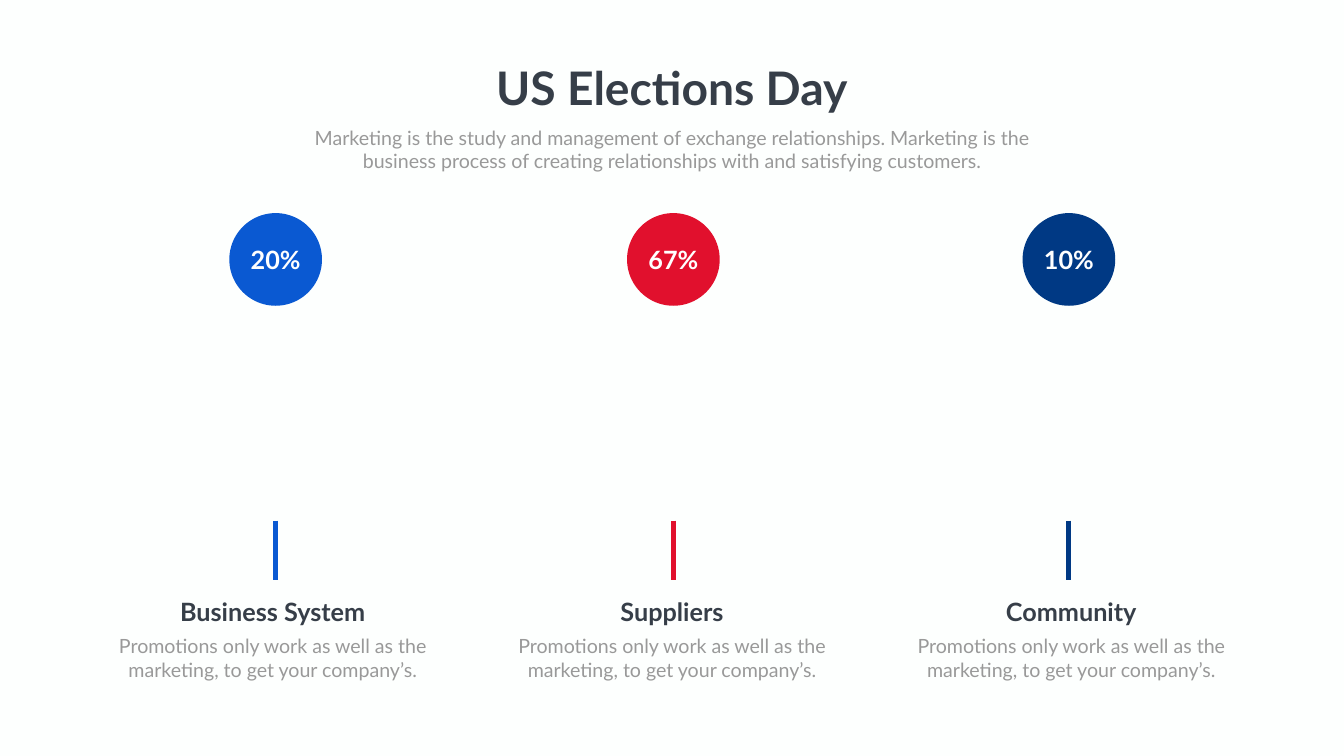
from lxml import etree
from pptx import Presentation
from pptx.dml.color import RGBColor
from pptx.enum.shapes import MSO_CONNECTOR, MSO_SHAPE
from pptx.enum.text import MSO_ANCHOR, MSO_AUTO_SIZE, PP_ALIGN
from pptx.oxml.ns import qn
from pptx.util import Cm, Pt

STRAIGHT = MSO_CONNECTOR.STRAIGHT
OVAL = MSO_SHAPE.OVAL
TOP, MIDDLE = MSO_ANCHOR.TOP, MSO_ANCHOR.MIDDLE
CENTER = PP_ALIGN.CENTER
NO_AUTOFIT = MSO_AUTO_SIZE.NONE

DARK, GRAY, WHITE, BACKGROUND = "363E48", "999999", "FFFFFF", "FDFFFE"

TITLE = {"size": Pt(66), "bold": True, "name": "Lato"}
HEADING = {"size": Pt(36), "bold": True, "name": "Lato"}
BODY = {"size": Pt(28), "bold": False, "name": "Lato"}

# Share, heading, colour and marker centre (cm) of each column
COLUMNS = [
    ("20%", "Business System", "0A59D2", 13.89),
    ("67%", "Suppliers", "E1102D", 33.93),
    ("10%", "Community", "003984", 53.86),
]
DETAIL = "Promotions only work as well as the marketing, to get your company’s."
FIRST_CENTER, COLUMN_PITCH = 13.74, 20.12
CIRCLE_SIZE = 4.67


def color(hex_string):
    return RGBColor.from_string(hex_string)


def write(shape, text, style, text_color, anchor=TOP, wrap=True):
    """Put one centred paragraph into a shape, box or placeholder."""
    frame = shape.text_frame
    frame_format = {"auto_size": NO_AUTOFIT, "word_wrap": wrap,
                    "vertical_anchor": anchor}
    for name, value in frame_format.items():
        setattr(frame, name, value)
    para = frame.paragraphs[0]
    para.alignment = CENTER
    para.space_before = Pt(0)
    span = para.add_run()
    span.text = text
    for name, value in style.items():
        setattr(span.font, name, value)
    span.font.color.rgb = color(text_color)


def fill_placeholder(holder, place, text, style, text_color, wrap=True):
    for name, value in zip(("left", "top", "width", "height"), place):
        setattr(holder, name, Cm(value))
    write(holder, text, style, text_color, wrap=wrap)


def add_label(page, center, top, width, height, text, style, text_color):
    box = page.shapes.add_textbox(Cm(center - width / 2), Cm(top),
                                  Cm(width), Cm(height))
    write(box, text, style, text_color)


def add_circle(page, center, text, fill_color):
    circle = page.shapes.add_shape(OVAL, Cm(center - CIRCLE_SIZE / 2), Cm(10.74),
                                   Cm(CIRCLE_SIZE), Cm(CIRCLE_SIZE))
    circle.shadow.inherit = False
    circle.fill.solid()
    circle.fill.fore_color.rgb = color(fill_color)
    circle.line.fill.background()
    write(circle, text, HEADING, WHITE, anchor=MIDDLE)


def add_marker(page, center, line_color):
    marker = page.shapes.add_connector(STRAIGHT, Cm(center), Cm(26.24),
                                       Cm(center), Cm(29.21))
    marker.line.color.rgb = color(line_color)
    marker.line.width = Pt(7)
    etree.SubElement(marker._element.spPr, qn("a:effectLst"))


def main():
    deck = Presentation()
    deck.slide_width, deck.slide_height = Cm(67.72), Cm(38.1)
    page = deck.slides.add_slide(deck.slide_layouts[0])
    page.background.fill.solid()
    page.background.fill.fore_color.rgb = color(BACKGROUND)

    # Title and introduction
    fill_placeholder(page.shapes.title, (24.61, 2.84, 18.49, 3.07),
                     "US Elections Day", TITLE, DARK, wrap=False)
    fill_placeholder(page.placeholders[1], (13.89, 6.2, 39.93, 2.64),
                     "Marketing is the study and management of exchange "
                     "relationships. Marketing is the business process of "
                     "creating relationships with and satisfying customers.",
                     BODY, GRAY)

    # Three columns: circle, marker line, heading and detail
    for index, (share, heading, accent, marker_center) in enumerate(COLUMNS):
        center = FIRST_CENTER + index * COLUMN_PITCH
        add_circle(page, marker_center, share, accent)
        add_marker(page, marker_center, accent)
        add_label(page, center, 29.92, 12.67, 1.8, heading, HEADING, DARK)
        add_label(page, center, 31.83, 17.09, 2.64, DETAIL, BODY, GRAY)

    deck.save("out.pptx")


if __name__ == "__main__":
    main()
